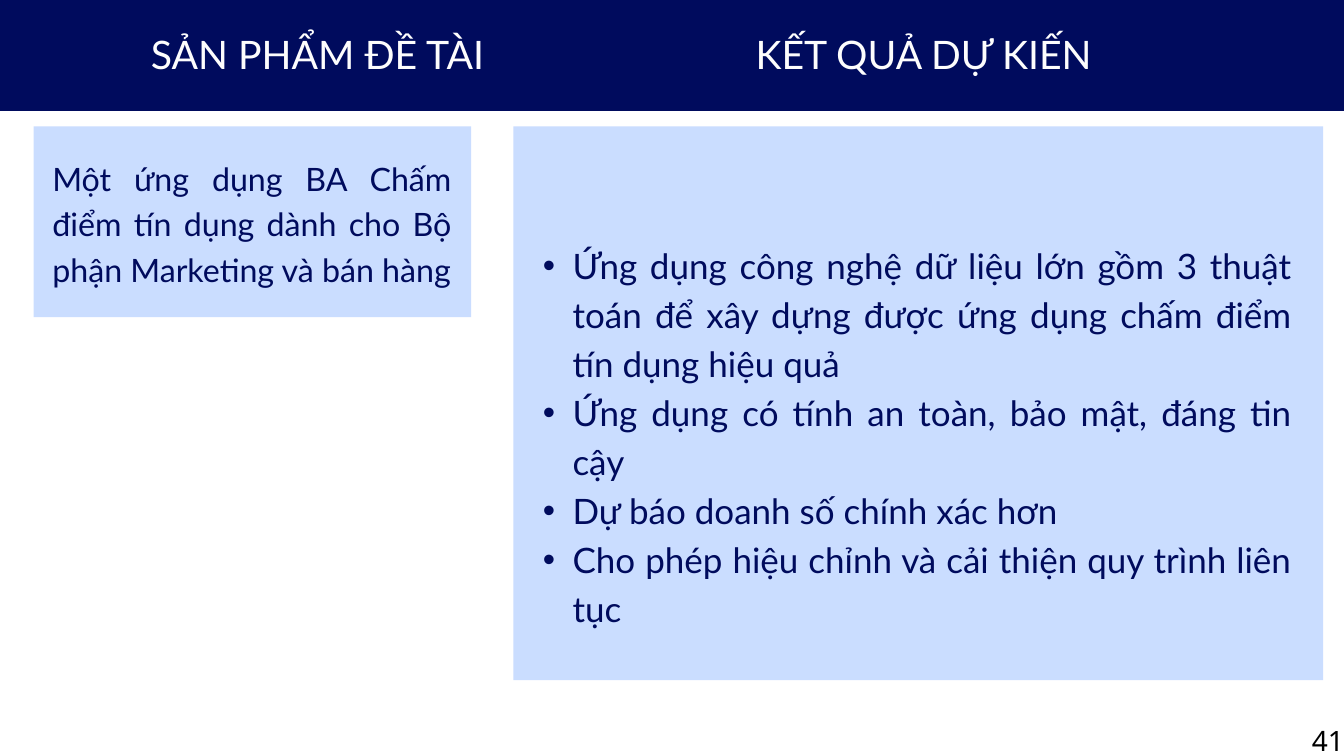
from collections import namedtuple

from lxml.etree import SubElement
from pptx import Presentation
from pptx.dml.color import RGBColor
from pptx.enum.shapes import MSO_SHAPE as Shape
from pptx.enum.text import MSO_ANCHOR as Anchor, PP_ALIGN as Align
from pptx.oxml.ns import qn
from pptx.util import Inches, Pt

# The page is a grid of 20 columns by 11.25 rows of one inch each.
COLUMNS, ROWS = 20, 11.25
UNIT = Inches(1)
NAVY, PALE_BLUE, WHITE, BLACK = "000B5D", "CADDFF", "FDFDFD", "000000"
LINE_RATIO = 1.4

Box = namedtuple("Box", "left top width height")


def color(hex_value):
    return RGBColor.from_string(hex_value)


def lengths(box):
    return [round(value * UNIT) for value in box]


def inset(box, left, top, right=0, bottom=0):
    return Box(box.left + left, box.top + top,
               box.width - left - right, box.height - top - bottom)


def add_panel(page, box, fill):
    panel = page.shapes.add_shape(Shape.RECTANGLE, *lengths(box))
    panel.shadow.inherit = False
    panel.fill.solid()
    panel.fill.fore_color.rgb = color(fill)
    panel.line.fill.background()


def add_bullet(para, indent, hanging):
    props = para._p.get_or_add_pPr()
    props.set("lvl", "1")
    props.set("marL", str(Inches(indent)))
    props.set("indent", str(-Inches(hanging)))
    SubElement(props, qn("a:buFont"), typeface="Arial")
    SubElement(props, qn("a:buChar"), char="•")


def add_text(page, box, lines, size, fill, align, font="Lato", bulleted=False):
    frame = page.shapes.add_textbox(*lengths(box)).text_frame
    frame.word_wrap = True
    frame.vertical_anchor = Anchor.TOP
    frame.margin_left = frame.margin_right = 0
    frame.margin_top = frame.margin_bottom = 0
    for index, line in enumerate(lines):
        para = frame.add_paragraph() if index else frame.paragraphs[0]
        if bulleted:
            add_bullet(para, 0.88, 0.44)
        para.alignment = align
        para.line_spacing = Pt(round(size * LINE_RATIO, 1))
        span = para.add_run()
        span.text = line
        span.font.size = Pt(size)
        span.font.name = font
        span.font.color.rgb = color(fill)


def add_header(page, box, headings):
    """Draw the title band with each heading centred at its own column."""
    add_panel(page, box, NAVY)
    for left, heading in headings:
        title = Box(left, box.top + 0.73, 9.45, 0.79)
        add_text(page, title, [heading], 42, WHITE, Align.CENTER)


def add_product(page, box, text):
    add_panel(page, box, PALE_BLUE)
    add_text(page, inset(box, 0.28, 0.4, 0.29), [text], 34.5, NAVY,
             Align.JUSTIFY)


def add_results(page, box, results):
    add_panel(page, box, PALE_BLUE)
    add_text(page, inset(box, 0, 1.65, 0.46, 1.57), results, 37.5, NAVY,
             Align.JUSTIFY, bulleted=True)


def add_page_number(page, box, number):
    add_text(page, box, [number], 30, BLACK, Align.CENTER, font="Noto Sans")


def main():
    deck = Presentation()
    deck.slide_width = round(COLUMNS * UNIT)
    deck.slide_height = round(ROWS * UNIT)
    page = deck.slides.add_slide(deck.slide_layouts[6])

    add_results(page, Box(7.64, 1.88, 12.05, 8.24), [
        "Ứng dụng công nghệ dữ liệu lớn gồm 3 thuật toán để xây dựng được "
        "ứng dụng chấm điểm tín dụng hiệu quả",
        "Ứng dụng có tính an toàn, bảo mật, đáng tin cậy",
        "Dự báo doanh số chính xác hơn",
        "Cho phép hiệu chỉnh và cải thiện quy trình liên tục",
    ])
    add_product(page, Box(0.5, 1.88, 6.51, 2.84),
                "Một ứng dụng BA Chấm điểm tín dụng dành cho Bộ phận "
                "Marketing và bán hàng")
    add_header(page, Box(-0.56, -0.39, COLUMNS + 1.12, 2.04), [
        (0, "SẢN PHẨM ĐỀ TÀI"),
        (9.02, "KẾT QUẢ DỰ KIẾN"),
    ])
    add_page_number(page, Box(COLUMNS - 0.48, ROWS - 0.56, 0.48, 0.56), "41")
    deck.save("out.pptx")


if __name__ == "__main__":
    main()
